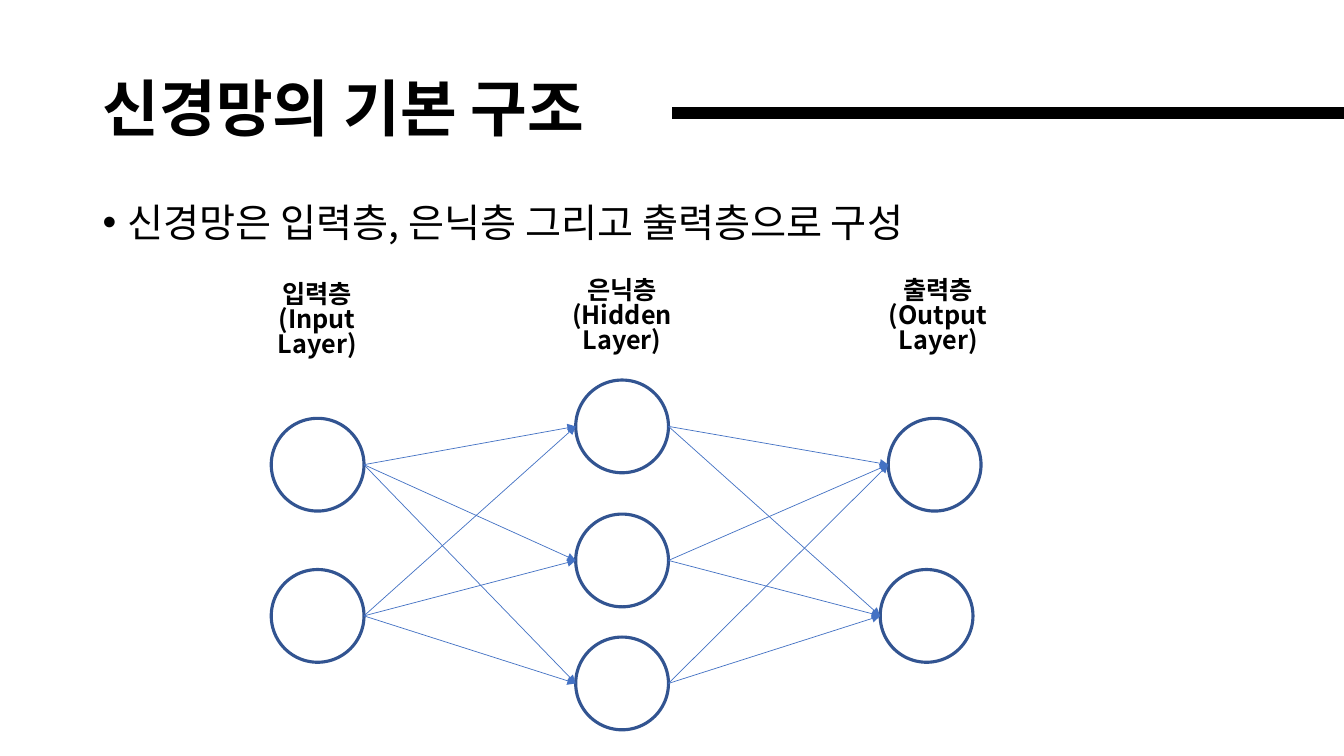
from itertools import pairwise, product

from lxml import etree
from pptx import Presentation
from pptx.dml.color import RGBColor
from pptx.enum.shapes import MSO_CONNECTOR as Connector, MSO_SHAPE as Shape
from pptx.enum.text import MSO_ANCHOR as Anchor, PP_ALIGN as Align
from pptx.oxml.ns import qn
from pptx.util import Inches, Pt

COLORS = {"text": "000000", "node": "325491", "arrow": "4472C4"}
FONT = "Noto Sans CJK KR"
LINE_SPACING = 0.83
NODE_SIZE = 0.92


class NetworkSlide:
    def __init__(self, deck):
        self.slide = deck.slides.add_slide(deck.slide_layouts[6])
        self.shapes = self.slide.shapes

    def color(self, name):
        return RGBColor.from_string(COLORS[name])

    def text(self, content, box, size, bold=False, align=Align.LEFT,
             anchor=Anchor.TOP, inset=0.1, bullet=False):
        frame = self.shapes.add_textbox(*map(Inches, box)).text_frame
        frame.word_wrap = True
        frame.vertical_anchor = anchor
        frame.margin_left = frame.margin_right = Inches(inset)
        frame.text = content
        for paragraph in frame.paragraphs:
            paragraph.alignment = align
            paragraph.line_spacing = LINE_SPACING
            if bullet:
                self.bullet(paragraph)
            for run in paragraph.runs:
                run.font.size = Pt(size)
                run.font.bold = bold
                run.font.color.rgb = self.color("text")
                run.font.name = FONT
                east_asian = etree.SubElement(run.font._element, qn("a:ea"))
                east_asian.set("typeface", FONT)

    def bullet(self, paragraph):
        properties = paragraph._p.get_or_add_pPr()
        properties.set("marL", str(Inches(0.25)))
        properties.set("indent", str(-Inches(0.25)))
        etree.SubElement(properties, qn("a:buFont")).set("typeface", "Arial")
        etree.SubElement(properties, qn("a:buChar")).set("char", "•")

    def node(self, left, top):
        circle = self.shapes.add_shape(
            Shape.OVAL, *map(Inches, (left, top, NODE_SIZE, NODE_SIZE)))
        circle.shadow.inherit = False
        circle.fill.background()
        circle.line.color.rgb = self.color("node")
        circle.line.width = Pt(2.25)

    def line(self, start, end, color, width, arrow=False):
        connector = self.shapes.add_connector(
            Connector.STRAIGHT, *map(Inches, (*start, *end)))
        connector.line.color.rgb = self.color(color)
        connector.line.width = Pt(width)
        if arrow:
            outline = connector.line._get_or_add_ln()
            etree.SubElement(outline, qn("a:tailEnd")).set("type", "triangle")
        etree.SubElement(connector._element.spPr, qn("a:effectLst"))

    def connect(self, source, target):
        radius = NODE_SIZE / 2
        start = (source[0] + NODE_SIZE, source[1] + radius)
        end = (target[0], target[1] + radius)
        self.line(start, end, "arrow", 0.5, arrow=True)


def main():
    deck = Presentation()
    deck.slide_width, deck.slide_height = Inches(13.33), Inches(7.5)
    network = NetworkSlide(deck)

    network.text("신경망의 기본 구조", (0.92, 0.4, 5.75, 1.45), 44,
                 bold=True, anchor=Anchor.MIDDLE)
    network.line((6.67, 1.12), (13.33, 1.12), "text", 9)
    network.text("신경망은 입력층, 은닉층 그리고 출력층으로 구성",
                 (0.92, 2, 11.5, 4.76), 28, bullet=True)

    layers = [
        ("입력층\n(Input Layer)", (2.27, 2.76, 1.75, 0.71),
         [(2.69, 4.15), (2.69, 5.65)]),
        ("은닉층\n(Hidden Layer)", (5.18, 2.72, 1.98, 0.71),
         [(5.71, 3.77), (5.71, 5.1), (5.71, 6.32)]),
        ("출력층\n(Output Layer)", (8.32, 2.72, 1.97, 0.71),
         [(8.81, 4.15), (8.73, 5.65)]),
    ]
    for _, _, nodes in layers:
        for position in nodes:
            network.node(*position)
    for (_, _, sources), (_, _, targets) in pairwise(layers):
        for source, target in product(sources, targets):
            network.connect(source, target)
    for label, box, _ in layers:
        network.text(label, box, 18, bold=True, align=Align.CENTER, inset=0.25)

    deck.save("out.pptx")


if __name__ == "__main__":
    main()
